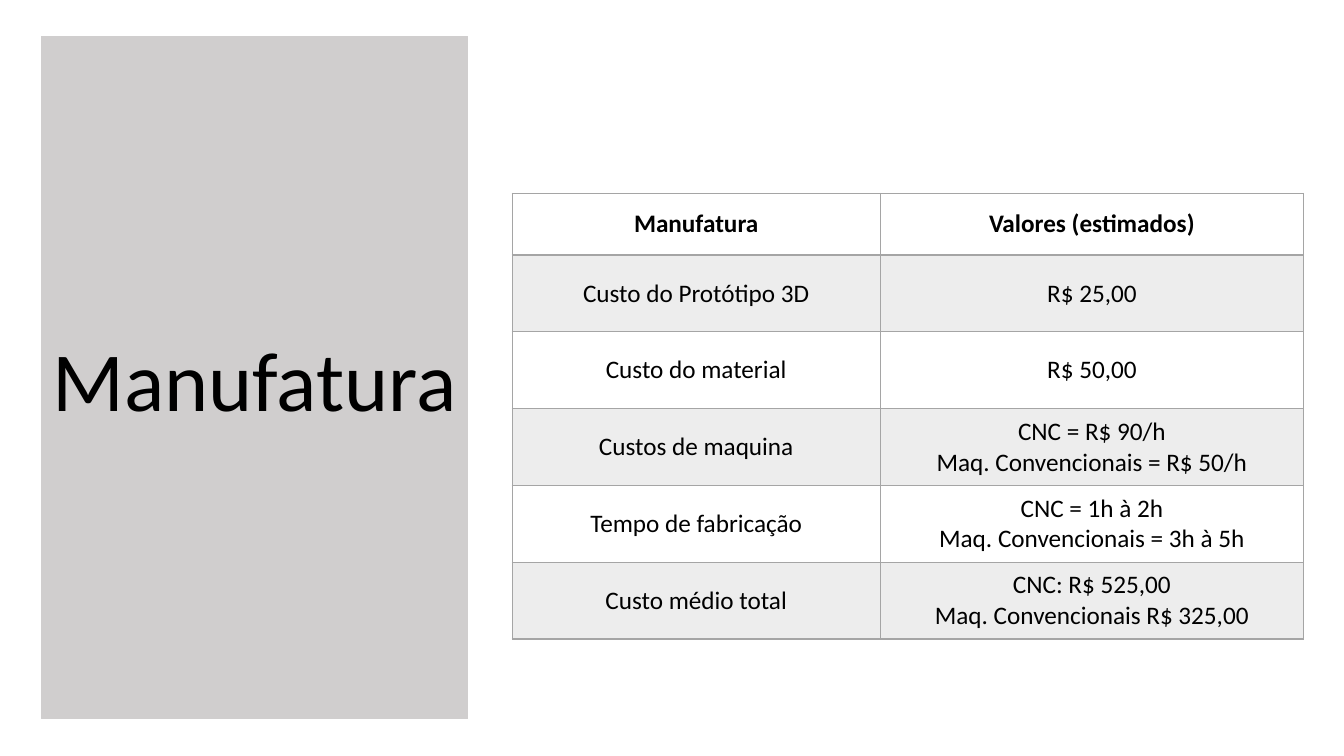
from lxml import etree
from pptx import Presentation
from pptx.dml.color import RGBColor
from pptx.enum import text
from pptx.oxml import ns
from pptx.util import Inches, Pt

PANEL = RGBColor(0xD0, 0xCE, 0xCE)
BORDER = RGBColor(0xA5, 0xA5, 0xA5)
BAND = RGBColor(0xED, 0xED, 0xED)
WHITE = RGBColor(0xFF, 0xFF, 0xFF)
BLACK = RGBColor(0, 0, 0)
FONT = "Calibri"

COSTS = [
    ("Manufatura", "Valores (estimados)"),
    ("Custo do Protótipo 3D", "R$ 25,00"),
    ("Custo do material", "R$ 50,00"),
    ("Custos de maquina", "CNC = R$ 90/h\nMaq. Convencionais = R$ 50/h"),
    ("Tempo de fabricação", "CNC = 1h à 2h\nMaq. Convencionais = 3h à 5h"),
    ("Custo médio total", "CNC: R$ 525,00\nMaq. Convencionais R$ 325,00"),
]
COLUMN_SHARES = (0.465, 0.535)
HEADER_HEIGHT = 0.61


def style_paragraphs(frame, size, bold=False):
    """Centre every paragraph of the frame and set its font."""
    for paragraph in frame.paragraphs:
        paragraph.alignment = text.PP_ALIGN.CENTER
        paragraph.font.name = FONT
        paragraph.font.size = Pt(size)
        paragraph.font.bold = bold
        paragraph.font.color.rgb = BLACK


def add_title_panel(slide, left, top, width, height):
    """Turn the title placeholder into the grey panel in the given box."""
    panel = slide.shapes.title
    panel.left, panel.top = Inches(left), Inches(top)
    panel.width, panel.height = Inches(width), Inches(height)
    panel.fill.solid()
    panel.fill.fore_color.rgb = PANEL
    panel.line.color.rgb = PANEL
    panel.line.width = Pt(1)
    frame = panel.text_frame
    frame.text = "Manufatura"
    frame.word_wrap = True
    frame.auto_size = text.MSO_AUTO_SIZE.NONE
    frame.vertical_anchor = text.MSO_ANCHOR.MIDDLE
    style_paragraphs(frame, 60)


def add_borders(cell, top, bottom):
    """Draw the four cell borders, with top and bottom widths in points."""
    properties = cell._tc.get_or_add_tcPr()
    for side, width in (("L", 1), ("R", 1), ("T", top), ("B", bottom)):
        line = etree.SubElement(properties, ns.qn(f"a:ln{side}"), w=str(Pt(width)))
        fill = etree.SubElement(line, ns.qn("a:solidFill"))
        etree.SubElement(fill, ns.qn("a:srgbClr"), val=str(BORDER))


def add_cost_table(slide, left, top, width, height):
    """Place the cost table in the given box, with body rows of equal height."""
    table = slide.shapes.add_table(
        len(COSTS), len(COLUMN_SHARES),
        Inches(left), Inches(top), Inches(width), Inches(height),
    ).table
    for column, share in zip(table.columns, COLUMN_SHARES):
        column.width = Inches(width * share)
    body_height = (height - HEADER_HEIGHT) / (len(COSTS) - 1)
    for index, entries in enumerate(COSTS):
        is_header = index == 0
        table.rows[index].height = Inches(HEADER_HEIGHT if is_header else body_height)
        for cell, entry in zip(table.rows[index].cells, entries):
            cell.text = entry
            cell.vertical_anchor = text.MSO_ANCHOR.MIDDLE
            style_paragraphs(cell.text_frame, 18, bold=is_header)
            add_borders(cell, top=2 if index == 1 else 1, bottom=2 if is_header else 1)
            cell.fill.solid()
            cell.fill.fore_color.rgb = BAND if index % 2 else WHITE


def main():
    """Build the manufacturing cost slide."""
    deck = Presentation()
    deck.slide_width, deck.slide_height = Inches(13.33), Inches(7.5)
    slide = deck.slides.add_slide(deck.slide_layouts[5])
    add_title_panel(slide, 0.41, 0.36, 4.23, 6.77)
    add_cost_table(slide, 5.08, 1.92, 7.85, 4.42)
    deck.save("out.pptx")


if __name__ == "__main__":
    main()
